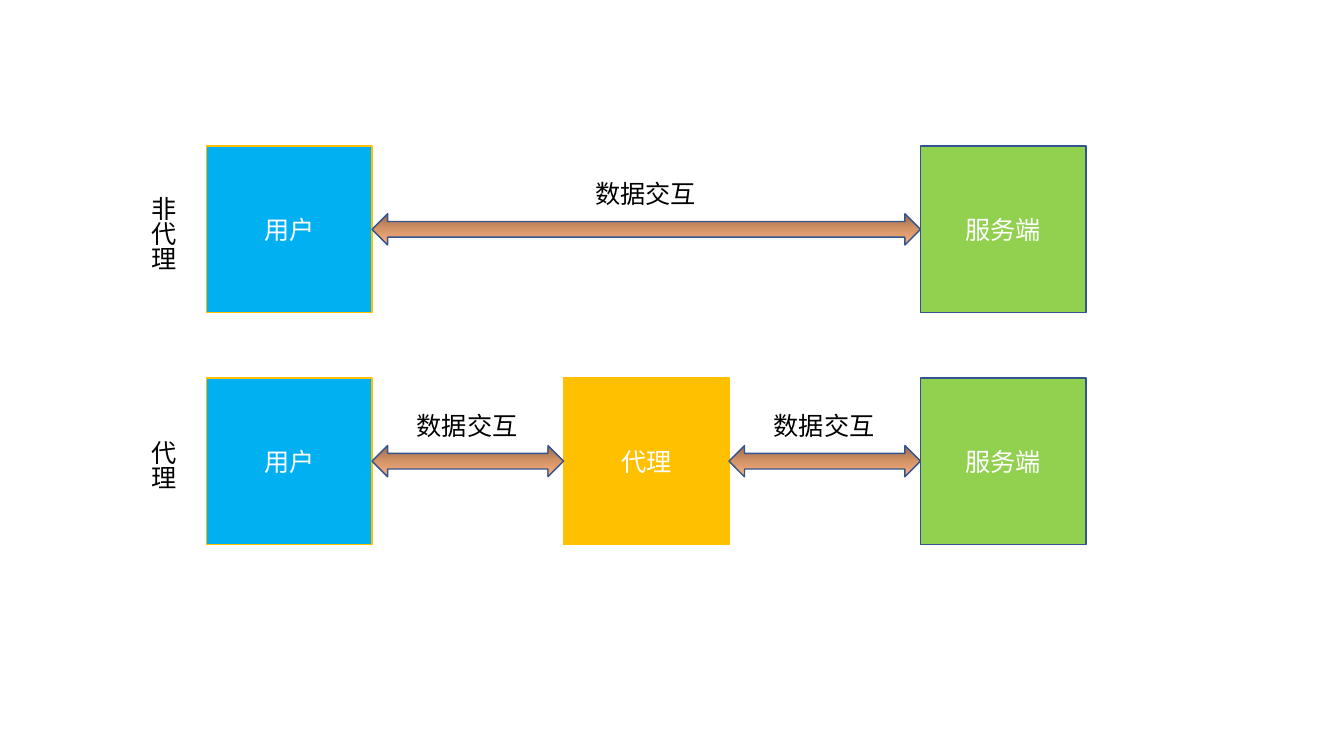
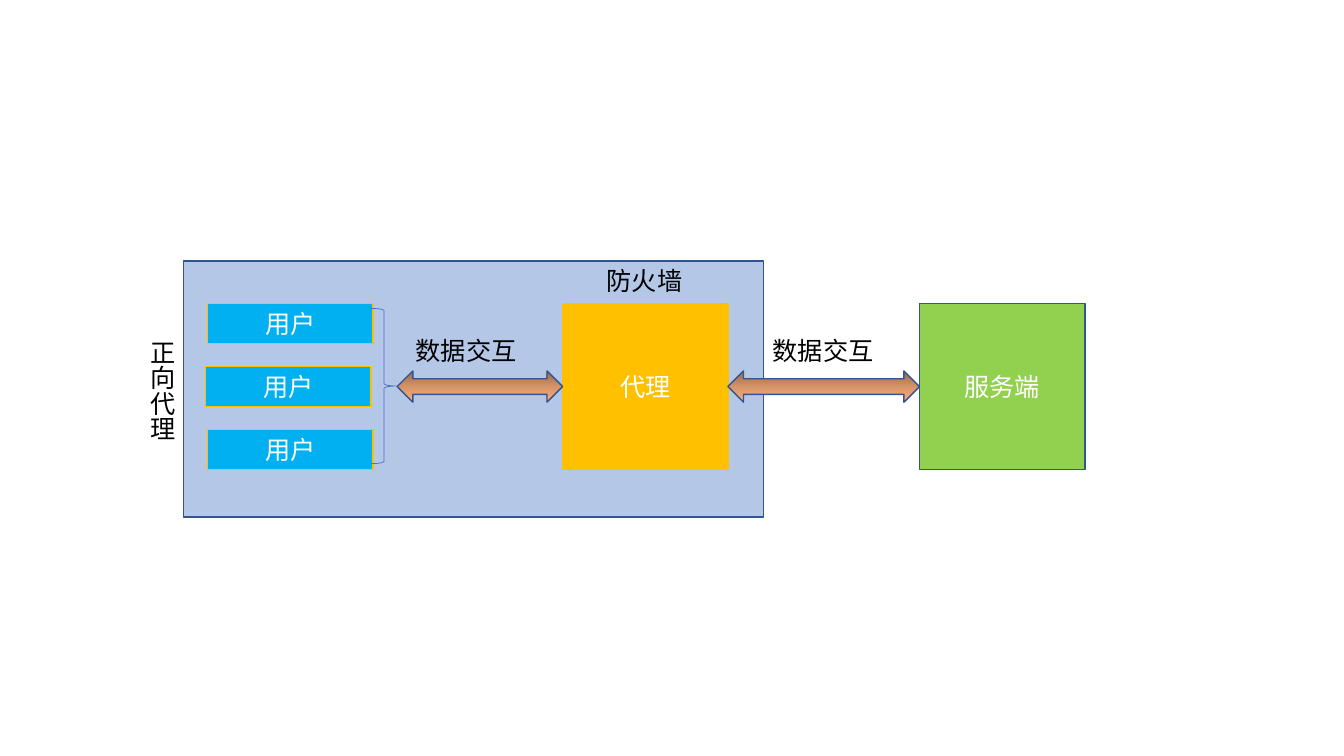
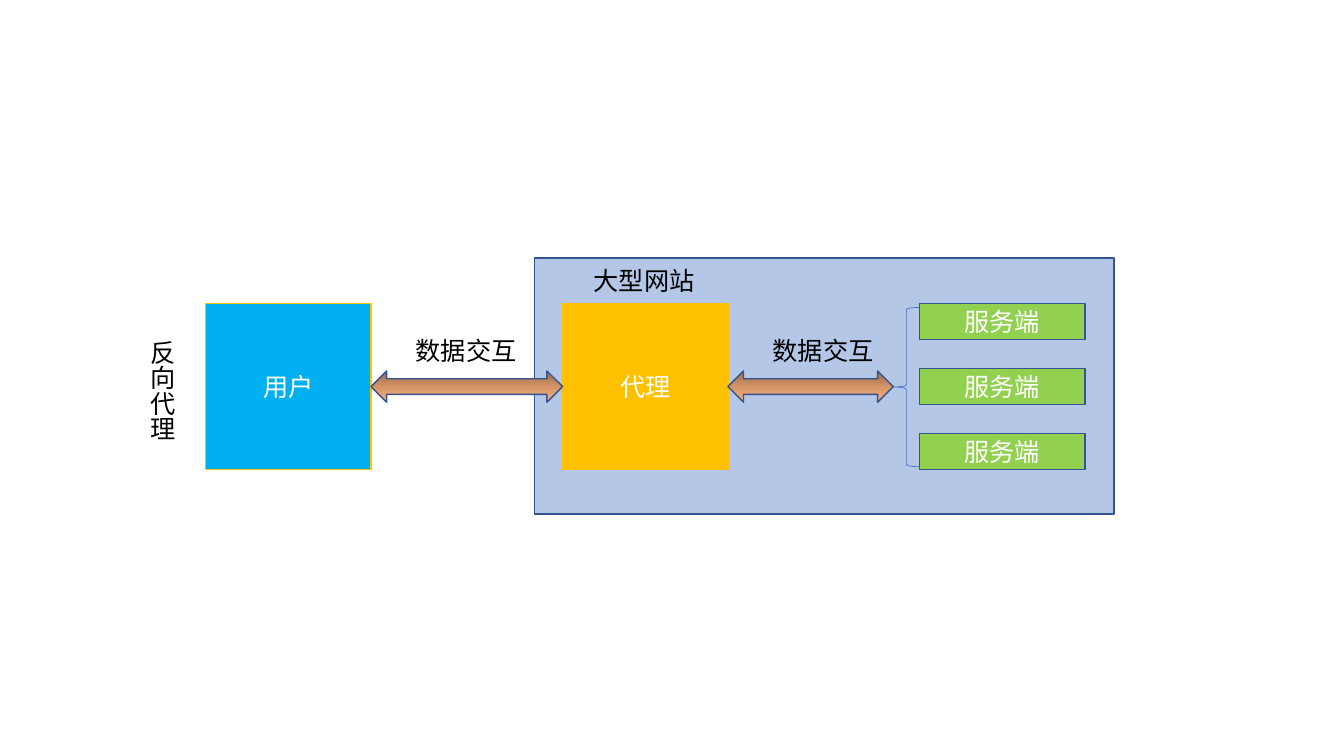
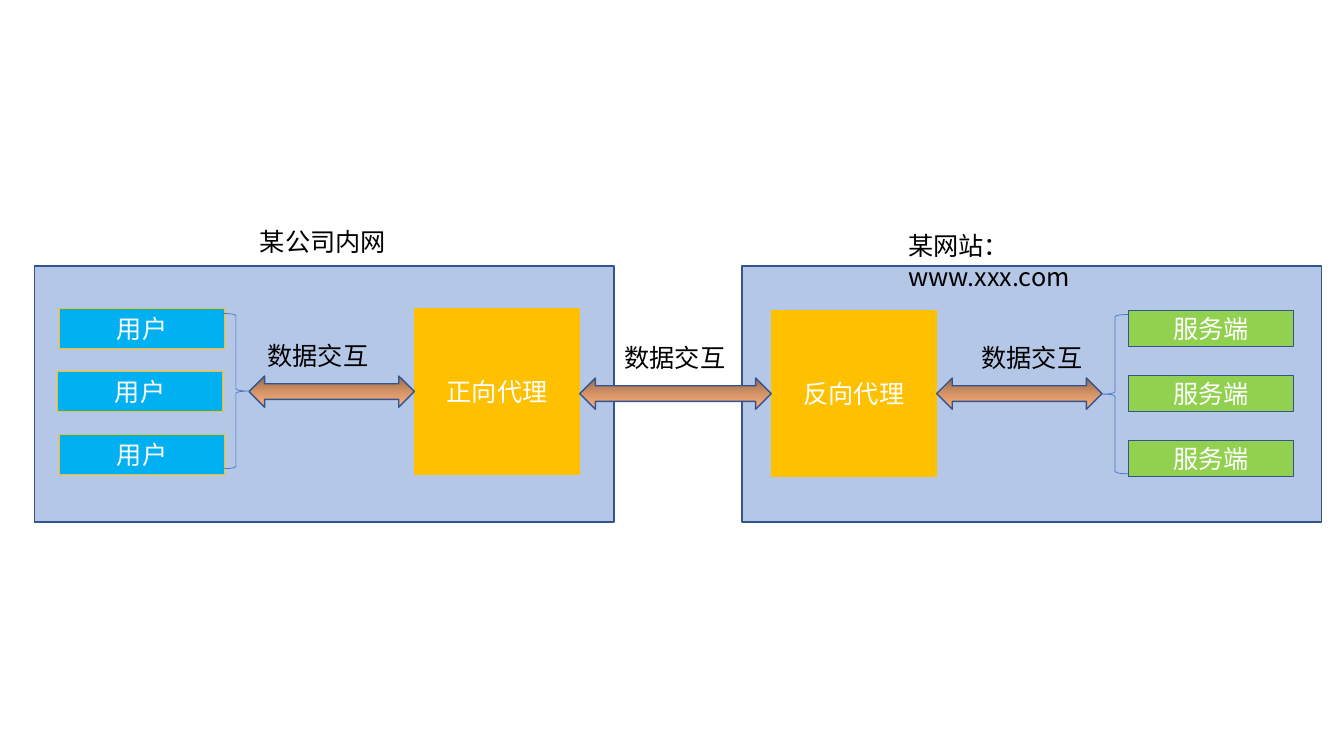
import pptx
import pptx.util
import pptx.dml.color
import pptx.enum.shapes
import pptx.enum.text
import pptx.oxml.ns
from lxml import etree

Inches = pptx.util.Inches
Pt = pptx.util.Pt
Shape = pptx.enum.shapes.MSO_SHAPE
qn = pptx.oxml.ns.qn

COLORS = {
    "user": "00B0F0", "proxy": "FFC000", "server": "92D050",
    "panel": "B4C7E7", "outline": "325491", "brace": "4472C4",
    "white": "FFFFFF", "black": "000000",
}
ARROW_STOPS = [(0, "966849"), (50, "D59468"), (100, "FDAF7B")]
NODE_EDGES = {"user": "proxy", "proxy": "proxy", "server": "outline"}
FONT = "Noto Sans CJK SC"

# Shared measures in inches
NODE_WIDTH, NODE_HEIGHT = 1.64, 1.65
PITCH = 3.54
GAP = PITCH - NODE_WIDTH
BRACE_WIDTH = 0.26
ARROW_HEIGHT = 0.31
TEXT_HEIGHT = 0.4
EXCHANGE = "数据交互"


def rgb(name):
    return pptx.dml.color.RGBColor.from_string(COLORS[name])


def write(box, text, color):
    para = box.text_frame.paragraphs[0]
    para.text = text
    para.font.size = Pt(18)
    para.font.name = FONT
    para.font.color.rgb = rgb(color)
    for props in box.element.iter(qn("a:defRPr")):
        etree.SubElement(props, qn("a:ea")).set("typeface", FONT)
    return para


def add_shape(page, kind, left, top, width, height, fill, line, weight=1):
    shape = page.shapes.add_shape(
        kind, Inches(left), Inches(top), Inches(width), Inches(height))
    shape.shadow.inherit = False
    if fill:
        shape.fill.solid()
        shape.fill.fore_color.rgb = rgb(fill)
    else:
        shape.fill.background()
    shape.line.color.rgb = rgb(line)
    shape.line.width = Pt(weight)
    return shape


def add_label(page, text, left, top, width, height=TEXT_HEIGHT, wrap=False):
    box = page.shapes.add_textbox(
        Inches(left), Inches(top), Inches(width), Inches(height))
    box.text_frame.word_wrap = wrap
    box.text_frame.auto_size = pptx.enum.text.MSO_AUTO_SIZE.SHAPE_TO_FIT_TEXT
    write(box, text, "black")
    return box


def add_row_name(page, text, left, top):
    """Vertical name, centred on the row of nodes that starts at left, top."""
    height = 0.11 + 0.25 * len(text)
    box = add_label(page, text, left - 0.73,
                    top + (NODE_HEIGHT - height) / 2, 0.5, height)
    box.element.txBody.bodyPr.set("vert", "eaVert")


def add_panel(page, left, top):
    add_shape(page, Shape.RECTANGLE, left, top, 5.75, 2.54, "panel", "outline")


def add_node(page, role, text, left, top, height=NODE_HEIGHT):
    node = add_shape(page, Shape.RECTANGLE, left, top, NODE_WIDTH, height,
                     role, NODE_EDGES[role])
    node.text_frame.vertical_anchor = pptx.enum.text.MSO_ANCHOR.MIDDLE
    write(node, text, "white").alignment = pptx.enum.text.PP_ALIGN.CENTER


def add_stack(page, role, text, left, top, height, nudge=0):
    """Three slim nodes filling the height of one full node."""
    step = (NODE_HEIGHT - height) / 2
    for index in range(3):
        shift = 0 if index == 1 else nudge
        add_node(page, role, text, left + shift, top + index * step, height)


def add_users(page, left, top):
    add_stack(page, "user", "用户", left, top, 0.4, nudge=0.02)
    add_shape(page, Shape.RIGHT_BRACE, left + NODE_WIDTH, top + 0.05,
              BRACE_WIDTH, 1.54, None, "brace", 0.5)


def add_servers(page, left, top):
    add_stack(page, "server", "服务端", left, top, 0.36)
    add_shape(page, Shape.LEFT_BRACE, left - BRACE_WIDTH, top + 0.04,
              BRACE_WIDTH, 1.58, None, "brace", 0.5)


def add_link(page, left, top, span=GAP, start_inset=0, end_inset=0):
    """Captioned double arrow across the gap that begins at left."""
    arrow = add_shape(page, Shape.LEFT_RIGHT_ARROW, left + start_inset,
                      top + (NODE_HEIGHT - ARROW_HEIGHT) / 2,
                      span - start_inset - end_inset, ARROW_HEIGHT,
                      None, "outline")
    arrow.fill.gradient()
    arrow.fill.gradient_angle = 270
    stops = next(arrow.element.iter(qn("a:gsLst")))
    for stop in list(stops):
        stops.remove(stop)
    for percent, color in ARROW_STOPS:
        stop = etree.SubElement(stops, qn("a:gs"), pos=str(percent * 1000))
        etree.SubElement(stop, qn("a:srgbClr"), val=color)
    caption_width = 1.21
    add_label(page, EXCHANGE, left + (span - caption_width) / 2, top + 0.27,
              caption_width)


def columns(left):
    return [left + index * PITCH for index in range(3)]


def build_comparison(page, left):
    """Direct exchange above, exchange through a proxy below."""
    user, proxy, server = columns(left)
    direct, relayed = 1.45, 3.75
    for name, top in (("非代理", direct), ("代理", relayed)):
        add_node(page, "user", "用户", user, top)
        add_node(page, "server", "服务端", server, top)
        add_row_name(page, name, left, top)
    add_link(page, user + NODE_WIDTH, direct, span=GAP + PITCH)
    add_node(page, "proxy", "代理", proxy, relayed)
    for start in (user, proxy):
        add_link(page, start + NODE_WIDTH, relayed)


def build_forward(page, left, top):
    user, proxy, server = columns(left)
    add_panel(page, left - 0.22, top - 0.42)
    add_label(page, "防火墙", proxy + 0.34, top - 0.43, 0.96)
    add_row_name(page, "正向代理", left, top)
    add_users(page, user, top)
    add_node(page, "proxy", "代理", proxy, top)
    add_node(page, "server", "服务端", server, top)
    add_link(page, user + NODE_WIDTH, top, start_inset=BRACE_WIDTH)
    add_link(page, proxy + NODE_WIDTH, top)


def build_reverse(page, left, top):
    user, proxy, server = columns(left)
    add_panel(page, proxy - 0.28, top - 0.45)
    add_label(page, "大型网站", proxy + 0.21, top - 0.43, 1.23, wrap=True)
    add_row_name(page, "反向代理", left, top)
    add_node(page, "user", "用户", user, top)
    add_node(page, "proxy", "代理", proxy, top)
    add_servers(page, server, top)
    add_link(page, user + NODE_WIDTH, top)
    add_link(page, proxy + NODE_WIDTH, top, end_inset=BRACE_WIDTH)


def build_combined(page, left, company_top, site_top):
    """Company network on the left, website on the right."""
    user, forward, reverse = columns(left)
    server = reverse + PITCH
    for panel_left in (0.34, 7.36):
        add_panel(page, panel_left, 2.64)
    # Company network
    add_users(page, user, company_top)
    add_node(page, "proxy", "正向代理", forward, company_top)
    add_link(page, user + NODE_WIDTH, company_top, start_inset=BRACE_WIDTH)
    add_label(page, "某公司内网", 2.48, 2.2, 1.46)
    # Website
    add_node(page, "proxy", "反向代理", reverse, site_top)
    add_servers(page, server, site_top)
    add_link(page, forward + NODE_WIDTH, site_top)
    add_link(page, reverse + NODE_WIDTH, site_top, end_inset=BRACE_WIDTH)
    add_label(page, "某网站：www.xxx.com", 8.91, 2.24, 2.66, wrap=True)


deck = pptx.Presentation()
deck.slide_width, deck.slide_height = Inches(13.33), Inches(7.5)


def add_page():
    return deck.slides.add_slide(deck.slide_layouts[6])


build_comparison(add_page(), 2.05)
build_forward(add_page(), 2.04, 3.01)
build_reverse(add_page(), 2.04, 3.01)
build_combined(add_page(), 0.57, 3.06, 3.08)
deck.save("out.pptx")
